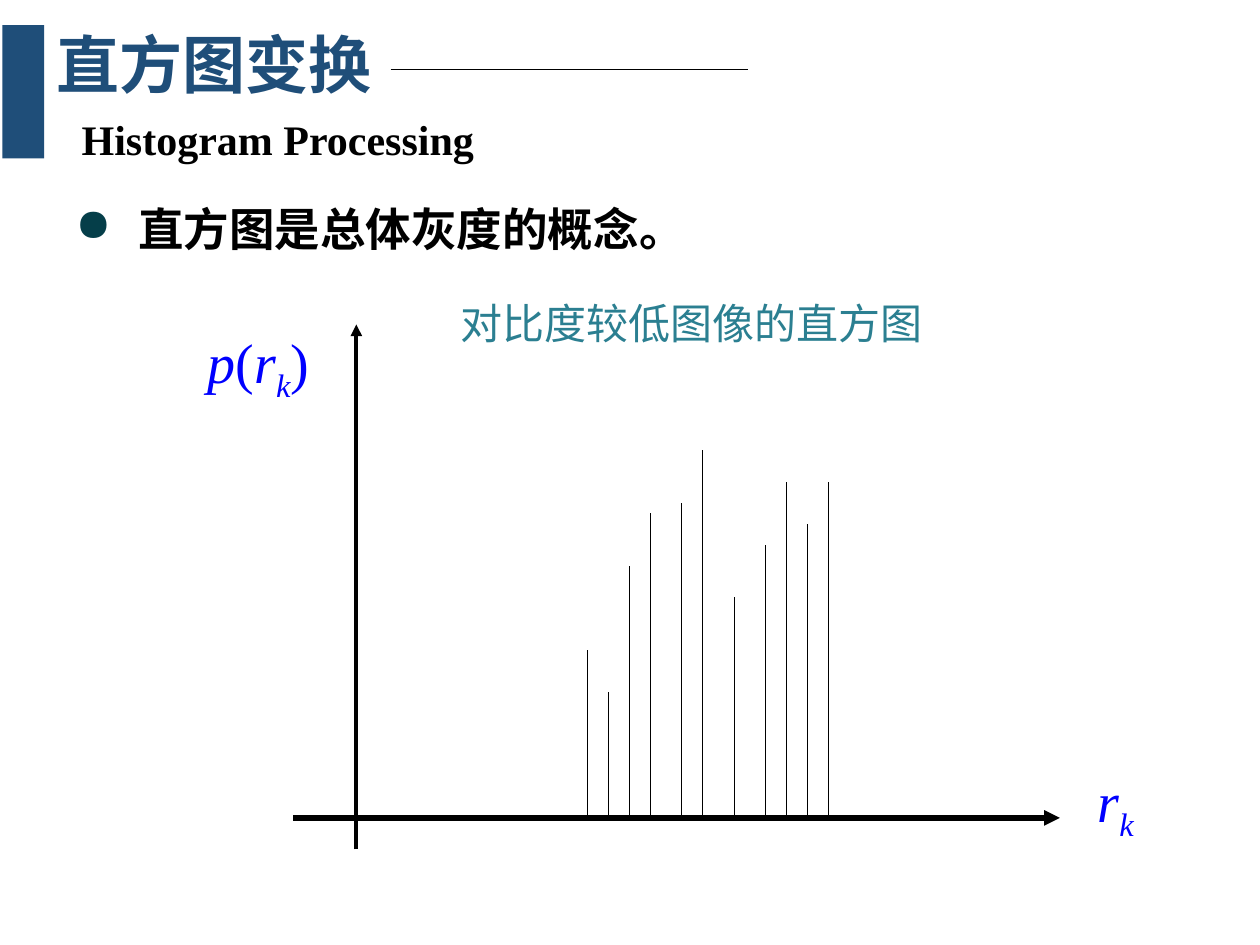
"""Build a slide showing the histogram of a low-contrast image."""
import pptx
import pptx.dml.color
import pptx.enum.shapes
import pptx.enum.text
import pptx.oxml
import pptx.oxml.ns
import pptx.util

RGBColor = pptx.dml.color.RGBColor
NAVY = RGBColor(0x1F, 0x4E, 0x79)
TEAL = RGBColor(0x2B, 0x7F, 0x91)
BLUE = RGBColor(0x00, 0x00, 0xFF)
BLACK = RGBColor(0x00, 0x00, 0x00)
SANS = "Noto Sans CJK SC"
SERIF = "Times New Roman"
TOP = pptx.enum.text.MSO_ANCHOR.TOP
MIDDLE = pptx.enum.text.MSO_ANCHOR.MIDDLE
LEFT = pptx.enum.text.PP_ALIGN.LEFT
CENTER = pptx.enum.text.PP_ALIGN.CENTER
NS = pptx.oxml.ns.nsdecls("a")

prs = pptx.Presentation()
prs.slide_width = pptx.util.Inches(10)
prs.slide_height = pptx.util.Inches(7.5)
COL = prs.slide_width / 120
ROW = prs.slide_height / 90
s = prs.slides.add_slide(prs.slide_layouts[5])


def put_text(text, box, sp=None, size=24, font=SANS, color=BLACK, bold=False,
             align=LEFT, anchor=MIDDLE, spacing=0.9, wrap=True, bullet=None):
    """Write text, or (text, italic, baseline) parts, into a box on the grid."""
    sp = sp or s.shapes.add_textbox(0, 0, 0, 0)
    x, y, w, h = box
    sp.left, sp.top = int(x * COL), int(y * ROW)
    sp.width, sp.height = int(w * COL), int(h * ROW)
    tf = sp.text_frame
    tf.word_wrap = wrap
    tf.auto_size = pptx.enum.text.MSO_AUTO_SIZE.NONE
    tf.vertical_anchor = anchor
    p = tf.paragraphs[0]
    p.alignment = align
    if bullet:
        pPr = p._p.get_or_add_pPr()
        pPr.set("marL", str(int(6 * COL)))
        pPr.set("indent", str(int(-6 * COL)))
        pPr.append(pptx.oxml.parse_xml(
            f'<a:buClr {NS}><a:srgbClr val="053E49"/></a:buClr>'))
        pPr.append(pptx.oxml.parse_xml(f'<a:buChar {NS} char="{bullet}"/>'))
    p.line_spacing = spacing
    parts = [(text, False, 0)] if isinstance(text, str) else text
    for part, italic, baseline in parts:
        r = p.add_run()
        r.text = part
        r.font.size = pptx.util.Pt(size)
        r.font.name = font
        r.font.bold = bold
        r.font.italic = italic
        r.font.color.rgb = color
        rPr = r._r.get_or_add_rPr()
        rPr.append(pptx.oxml.parse_xml(f'<a:ea {NS} typeface="{SANS}"/>'))
        if baseline:
            rPr.set("baseline", str(baseline * 1000))


def put_line(x1, y1, x2, y2, width=0.75, arrow=False):
    """Draw a black line between two grid points."""
    sp = s.shapes.add_connector(
        pptx.enum.shapes.MSO_CONNECTOR.STRAIGHT,
        int(x1 * COL), int(y1 * ROW), int(x2 * COL), int(y2 * ROW))
    sp.line.color.rgb = BLACK
    sp.line.width = pptx.util.Pt(width)
    if arrow:
        sp.line._get_or_add_ln().append(
            pptx.oxml.parse_xml(f'<a:tailEnd {NS} type="triangle"/>'))
    sp._element.spPr.append(pptx.oxml.parse_xml(f"<a:effectLst {NS}/>"))


put_text("直方图变换", (4.2, 1.3, 35.9, 10.4), sp=s.shapes.title,
         size=36, color=NAVY, bold=True)
put_line(37.2, 6.6, 71.2, 6.6, width=0.5)
put_text("Histogram Processing", (6.6, 8.2, 85.6, 10.7), font=SERIF, bold=True)

sp = s.shapes.add_shape(pptx.enum.shapes.MSO_SHAPE.RECTANGLE, int(0.24 * COL),
                        int(2.4 * ROW), int(3.96 * COL), int(12.7 * ROW))
sp.shadow.inherit = False
sp.fill.solid()
sp.fill.fore_color.rgb = NAVY
sp.line.fill.background()

put_text("直方图是总体灰度的概念。", (6, 17.5, 108, 24.7), size=26,
         font="Calibri", bold=True, anchor=TOP, spacing=1.2, bullet="●")
put_text("对比度较低图像的直方图", (42.7, 28.3, 55.6, 5.6), color=TEAL, anchor=TOP)

X0, Y0 = 33.94, 77.9
put_line(X0 - 6, Y0, X0 + 67, Y0, width=3, arrow=True)
put_line(X0, Y0 + 3, X0, Y0 - 47, width=2.25, arrow=True)

r_k = [("r", True, 0), ("k", True, -25)]
label = dict(size=32, font=SERIF, color=BLUE, align=CENTER, spacing=1)
put_text([("p", True, 0), ("(", False, 0), *r_k, (")", False, 0)],
         (16.2, 31, 16.8, 7.6), **label)
put_text(r_k, (103.2, 72.8, 6.1, 7.7), wrap=False, **label)

bars = {22: 16, 24: 12, 26: 24, 28: 29, 31: 30, 33: 35,
        36: 21, 39: 26, 41: 32, 43: 28, 45: 32}
for level, height in bars.items():
    put_line(X0 + level, Y0, X0 + level, Y0 - height)

prs.save("out.pptx")
